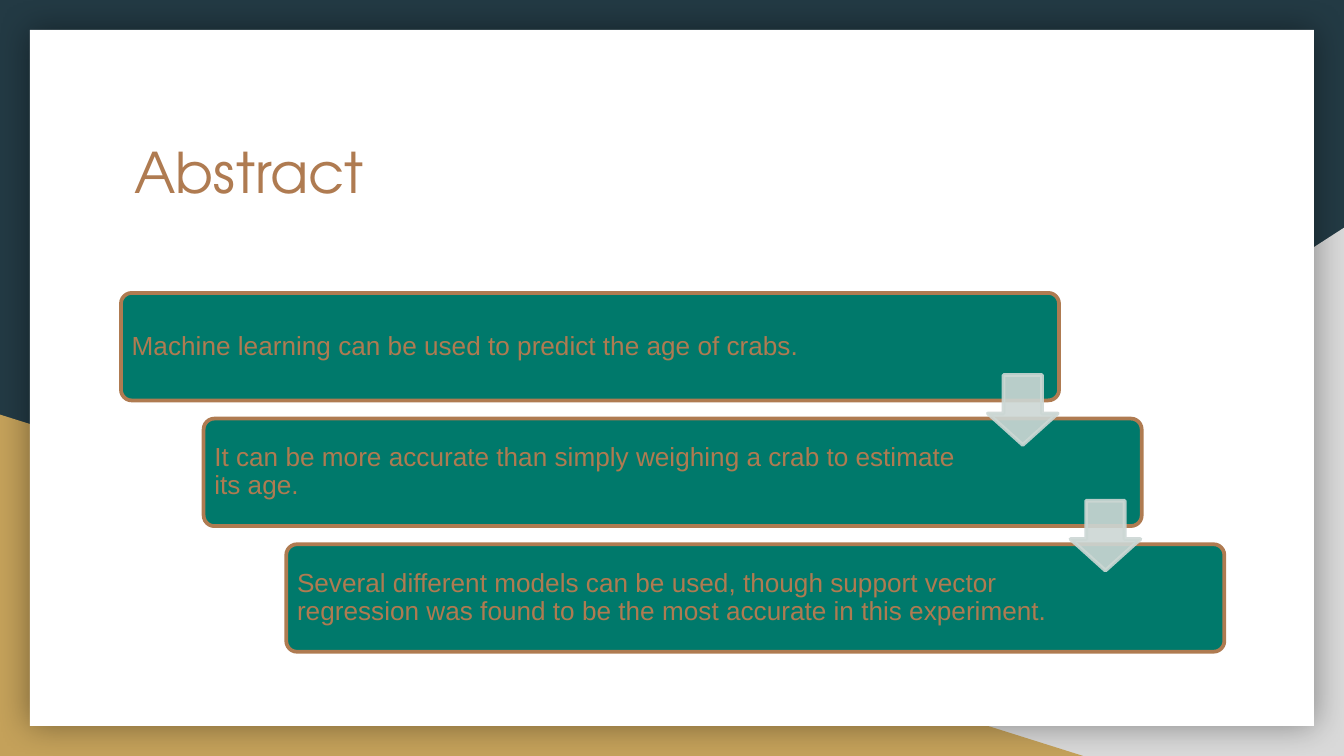
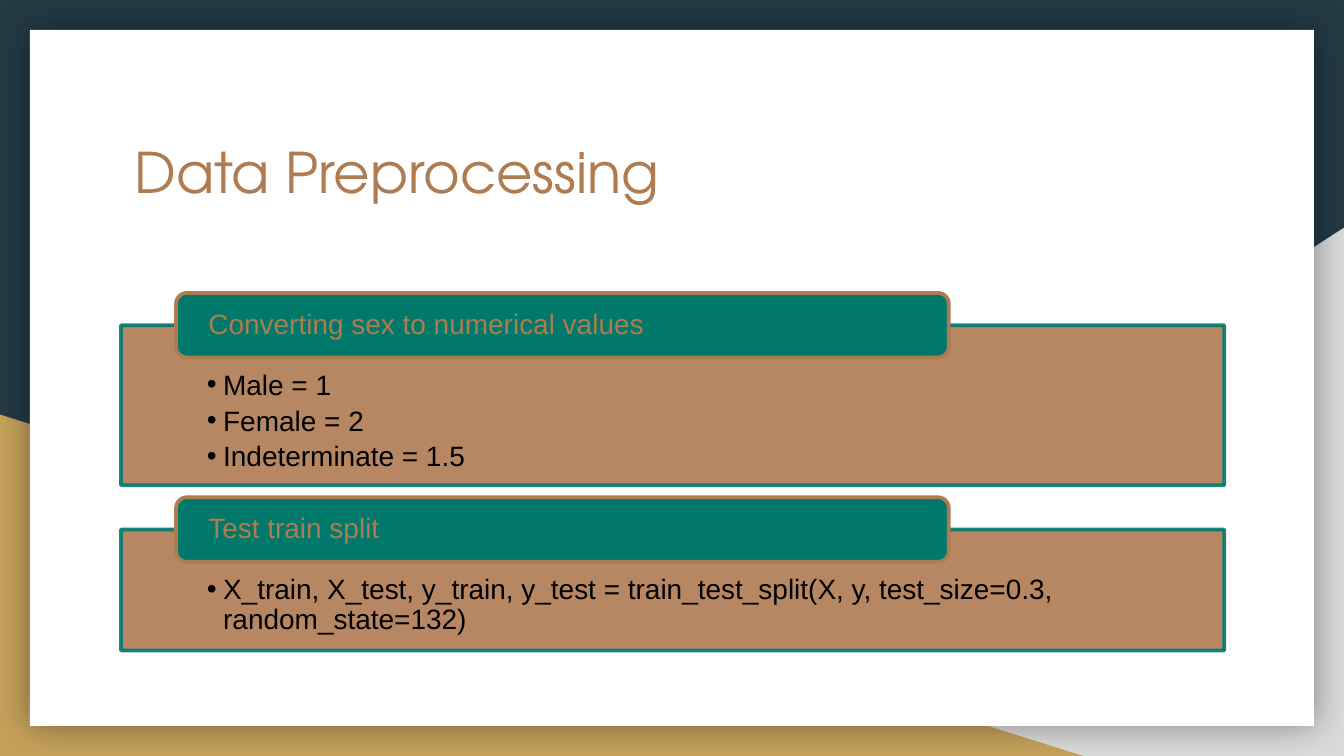
from dataclasses import dataclass
from typing import NamedTuple

from lxml.etree import SubElement
from pptx import Presentation
from pptx.dml.color import RGBColor
from pptx.enum.shapes import MSO_SHAPE
from pptx.enum.text import MSO_ANCHOR, MSO_AUTO_SIZE, PP_ALIGN
from pptx.oxml.ns import qn
from pptx.util import Inches, Pt

# Grid: 100 columns by 56.25 rows of square cells
WIDE, HIGH = Inches(10), Inches(5.625)
CELL = WIDE / 100
ROWS = HIGH / CELL


# Theme
@dataclass(frozen=True)
class Theme:
    navy: str = "233A44"
    gray: str = "D9D9D9"
    gold: str = "C4A15A"
    white: str = "FFFFFF"
    black: str = "000000"
    brown: str = "AF7B51"
    green: str = "00796B"
    mist: str = "CCD7D4"
    head: str = "TeX Gyre Adventor"
    body: str = "Arial"
    title: int = 30
    step: int = 14
    list: int = 15
    edge: int = 2
    veil: int = 90


THEME = Theme()


class Box(NamedTuple):
    x: float
    y: float
    w: float
    h: float

    def move(self, dx: float, dy: float) -> "Box":
        return self._replace(x=self.x + dx, y=self.y + dy)

    def trim(self, gap: float) -> "Box":
        return Box(self.x + gap, self.y + gap, self.w - 2 * gap, self.h - 2 * gap)

    def emu(self) -> list[int]:
        return [round(n * CELL) for n in self]


class Look(NamedTuple):
    fill: str
    line: str | None = None
    alpha: int = 100


class Type(NamedTuple):
    size: int
    color: str
    font: str = THEME.body
    lines: float = 0.9
    after: float = 5
    inset: tuple[float, float, float, float] = (0.6, 0.6, 0.6, 0.6)
    anchor: MSO_ANCHOR = MSO_ANCHOR.MIDDLE
    dots: bool = False


CARD = Look(THEME.green, THEME.brown)
PANEL = Look(THEME.brown, THEME.green, THEME.veil)
ARROW = Look(THEME.mist, THEME.mist, THEME.veil)

TITLE = Type(THEME.title, THEME.brown, THEME.head, 1, 0, (1, 1, 1, 1), MSO_ANCHOR.TOP)
STEP = Type(THEME.step, THEME.brown)
TAB = Type(THEME.list, THEME.brown, inset=(2.2, 0, 2.2, 0))
LIST = Type(THEME.list, THEME.black, after=3, inset=(6.4, 3.4, 6.4, 1.2),
            anchor=MSO_ANCHOR.TOP, dots=True)


# Drawing
def fade(node, alpha: int) -> None:
    for tint in node.iter(qn("a:srgbClr")):
        SubElement(tint, qn("a:alpha"), val=str(alpha * 1000))


def draw(slide, kind: MSO_SHAPE, box: Box, look: Look, *adj: float):
    shape = slide.shapes.add_shape(kind, *box.emu())
    shape.shadow.inherit = False
    for i, share in enumerate(adj):
        shape.adjustments[i] = share
    shape.fill.solid()
    shape.fill.fore_color.rgb = RGBColor.from_string(look.fill)
    if look.line:
        shape.line.color.rgb = RGBColor.from_string(look.line)
        shape.line.width = Pt(THEME.edge)
    else:
        shape.line.fill.background()
    if look.alpha < 100:
        fade(shape.element.spPr, look.alpha)
    return shape


def bullet(para, color: str) -> None:
    props = para._p.get_or_add_pPr()
    props.set("marL", str(Inches(0.12)))
    props.set("indent", str(-Inches(0.12)))
    tint = SubElement(props, qn("a:buClr"))
    SubElement(tint, qn("a:srgbClr"), val=color)
    SubElement(props, qn("a:buFont"), typeface=THEME.body)
    SubElement(props, qn("a:buChar"), char="•")


def write(frame, lines: list[str], kind: Type) -> None:
    frame.word_wrap = True
    frame.auto_size = MSO_AUTO_SIZE.NONE
    frame.vertical_anchor = kind.anchor
    (frame.margin_left, frame.margin_top,
     frame.margin_right, frame.margin_bottom) = [round(n * CELL) for n in kind.inset]
    for i, line in enumerate(lines):
        para = frame.add_paragraph() if i else frame.paragraphs[0]
        para.text = line
        para.alignment = PP_ALIGN.LEFT
        para.line_spacing = kind.lines
        para.space_before = Pt(0)
        para.space_after = Pt(kind.after)
        if kind.dots:
            bullet(para, kind.color)
        para.font.name = kind.font
        para.font.size = Pt(kind.size)
        para.font.color.rgb = RGBColor.from_string(kind.color)


def label(slide, box: Box, lines: list[str], kind: Type) -> None:
    write(slide.shapes.add_textbox(*box.emu()).text_frame, lines, kind)


# Shared backdrop, kept on the layout
def glow(shape) -> None:
    props = shape.element.spPr
    fx = props.find(qn("a:effectLst"))
    shade = SubElement(fx, qn("a:outerShdw"), blurRad=str(Pt(18)), dist="0",
                       dir="0", algn="ctr", rotWithShape="0")
    tint = SubElement(shade, qn("a:srgbClr"), val=THEME.black)
    SubElement(tint, qn("a:alpha"), val="40000")


def stage(layout, slide) -> None:
    layout.background.fill.solid()
    layout.background.fill.fore_color.rgb = RGBColor.from_string(THEME.navy)
    right = draw(slide, MSO_SHAPE.RIGHT_TRIANGLE,
                 Box(39.2, ROWS - 39.3, 60.8, 39.3), Look(THEME.gray))
    right.element.spPr.find(qn("a:xfrm")).set("flipH", "1")
    left = draw(slide, MSO_SHAPE.RIGHT_TRIANGLE,
                Box(0, ROWS - 25.4, 80.6, 25.4), Look(THEME.gold))
    page = draw(slide, MSO_SHAPE.RECTANGLE,
                Box(0, 0, 100, ROWS).trim(2.23), Look(THEME.white))
    glow(page)
    for i, part in enumerate((right, left, page)):
        layout.shapes.element.insert(2 + i, part.element)


def begin(deck, layout, title: str):
    slide = deck.slides.add_slide(layout)
    head = slide.shapes.title
    head.left, head.top, head.width, head.height = Box(9, 9.2, 82.1, 10.4).emu()
    write(head.text_frame, [title], TITLE)
    return slide


# Slide 1: staircase of steps
class Step(NamedTuple):
    text: str
    width: float


STEPS = [
    Step("Machine learning can be used to predict the age of crabs.", 61.1),
    Step("It can be more accurate than simply weighing a crab to estimate its age.", 57.9),
    Step("Several different models can be used, though support vector regression "
         "was found to be the most accurate in this experiment.", 57.9),
]


def stairs(slide) -> None:
    dx, dy = 6.15, 9.35
    for i, step in enumerate(STEPS):
        card = Box(9, 21.8, 69.8, 8).move(i * dx, i * dy)
        draw(slide, MSO_SHAPE.ROUNDED_RECTANGLE, card, CARD, 0.1)
        label(slide, card.trim(0.2)._replace(w=step.width), [step.text], STEP)
    for i in range(len(STEPS) - 1):
        spot = Box(73.5, 27.9, 5.2, 5.2).move(i * dx, i * dy)
        draw(slide, MSO_SHAPE.DOWN_ARROW, spot, ARROW, 0.55, 0.45)


# Slide 2: panels with tabs
class Part(NamedTuple):
    name: str
    items: list[str]
    height: float


PARTS = [
    Part("Converting sex to numerical values",
         ["Male = 1", "Female = 2", "Indeterminate = 1.5"], 11.9),
    Part("Test train split",
         ["X_train, X_test, y_train, y_test = train_test_split(X, y, "
          "test_size=0.3, random_state=132)"], 9),
]


def panels(slide) -> None:
    top, gap = 24.2, 3.3
    for part in PARTS:
        panel = Box(9, top, 82.1, part.height)
        draw(slide, MSO_SHAPE.RECTANGLE, panel, PANEL)
        label(slide, panel, part.items, LIST)
        tab = Box(13.1, top - 2.4, 57.5, 4.8)
        draw(slide, MSO_SHAPE.ROUNDED_RECTANGLE, tab, CARD)
        label(slide, tab.trim(0.2), [part.name], TAB)
        top += part.height + gap


def main() -> None:
    deck = Presentation()
    deck.slide_width, deck.slide_height = WIDE, HIGH
    layout = deck.slide_layouts[5]
    first = begin(deck, layout, "Abstract")
    stage(layout, first)
    stairs(first)
    panels(begin(deck, layout, "Data Preprocessing"))
    deck.save("out.pptx")


if __name__ == "__main__":
    main()
